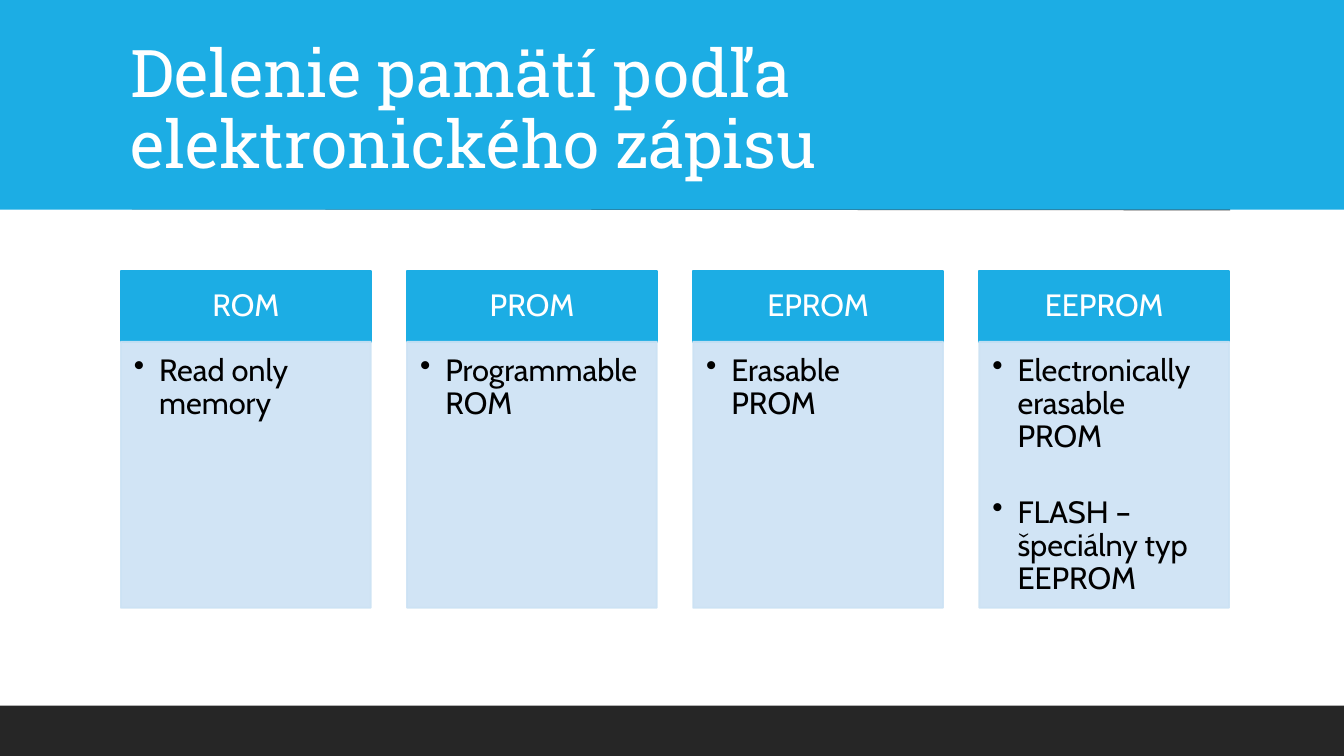
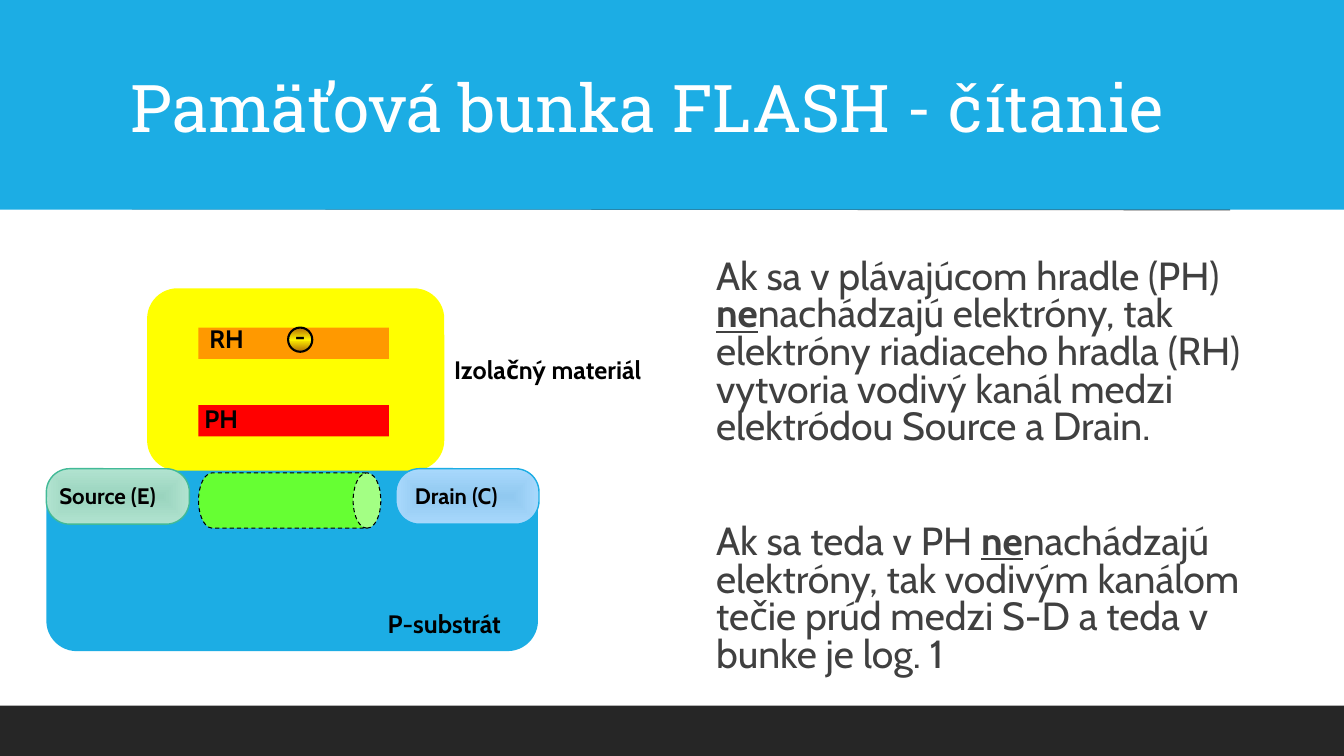
from lxml.etree import SubElement
from pptx import Presentation
from pptx.dml.color import RGBColor
from pptx.enum.dml import MSO_LINE
from pptx.enum.shapes import MSO_CONNECTOR, MSO_SHAPE as Geo
from pptx.enum.text import MSO_ANCHOR as Anchor, PP_ALIGN as Align
from pptx.oxml.ns import qn
from pptx.util import Inches, Pt

BLUE = RGBColor(0x1C, 0xAD, 0xE4)
PALE_BLUE = RGBColor(0xCC, 0xE2, 0xF4)
CHARCOAL = RGBColor(0x26, 0x26, 0x26)
GREY = RGBColor(0x40, 0x40, 0x40)
WHITE = RGBColor(0xFF, 0xFF, 0xFF)
BLACK = RGBColor(0x00, 0x00, 0x00)
YELLOW = RGBColor(0xFF, 0xFF, 0x00)
RED = RGBColor(0xFF, 0x00, 0x00)
ORANGE = RGBColor(0xFF, 0x99, 0x00)
LIME = RGBColor(0x66, 0xFF, 0x33)
GREEN = RGBColor(0x42, 0xBA, 0x97)
GREEN_TINTS = [RGBColor(0x9A, 0xD4, 0xBE), RGBColor(0xB1, 0xE3, 0xD0)]
BLUE_TINTS = [RGBColor(0x91, 0xC9, 0xF0), RGBColor(0xA8, 0xD8, 0xFC)]
BRONZE = RGBColor(0xB2, 0x6B, 0x02)
GOLD = RGBColor(0xFF, 0xF2, 0x00)

TITLE_FONT, BODY_FONT = "Roboto Slab", "Cabin"
WIDTH, HEIGHT = 13.34, 7.5

MEMORY_TITLE = "Delenie pamätí podľa elektronického zápisu"
MEMORY_TYPES = [
    ("ROM", ["Read only memory"]),
    ("PROM", ["Programmable ROM"]),
    ("EPROM", ["Erasable PROM"]),
    ("EEPROM", ["Electronically erasable PROM", "FLASH – špeciálny typ EEPROM"]),
]
CARD_LEFT, CARD_WIDTH, CARD_PITCH = 1.2, 2.48, 2.84
HEAD_TOP, HEAD_HEIGHT, LIST_HEIGHT = 2.69, 0.7, 2.64

READING_TITLE = "Pamäťová bunka FLASH - čítanie"
# Each paragraph: text before, emphasised prefix, text after
READING_TEXT = [
    ("Ak sa v plávajúcom hradle (PH) ", "ne",
     "nachádzajú elektróny, tak elektróny riadiaceho hradla (RH) vytvoria "
     "vodivý kanál medzi elektródou Source a Drain."),
    ("Ak sa teda v PH ", "ne",
     "nachádzajú elektróny, tak vodivým kanálom tečie prúd medzi S-D "
     "a teda v bunke je log. 1"),
]
BLOCKS = [  # substrate, insulation, floating gate, control gate
    (Geo.FLOWCHART_ALTERNATE_PROCESS, (0.46, 4.65, 4.88, 1.81), BLUE),
    (Geo.FLOWCHART_ALTERNATE_PROCESS, (1.46, 2.86, 2.95, 1.81), YELLOW),
    (Geo.RECTANGLE, (1.97, 4.02, 1.89, 0.31), RED),
    (Geo.RECTANGLE, (1.97, 3.25, 1.89, 0.31), ORANGE),
]
ELECTRODES = [(0.46, GREEN_TINTS, GREEN), (3.93, BLUE_TINTS, BLUE)]
LABELS = [
    ("P-substrát", (3.75, 5.99, 1.49, 0.4), 18),
    ("Source (E)", (0.49, 4.73, 1.28, 0.37), 16),
    ("Drain (C)", (4.02, 4.73, 1.16, 0.37), 16),
    ("PH", (1.93, 3.95, 0.55, 0.4), 18),
    ("RH", (1.98, 3.16, 0.55, 0.4), 18),
    ("Izolačný materiál", (4.41, 3.47, 2.37, 0.4), 18),
]


def write(shape, paragraphs, size, color, font=BODY_FONT, bold=False,
          align=Align.LEFT, anchor=Anchor.TOP, insets=(0.1, 0.05, 0.1, 0.05),
          wrap=True, spacing=1.0, gap=0, bullets=False):
    """Fill a shape; a paragraph is a string or a tuple whose odd runs are emphasised."""
    frame = shape.text_frame
    frame.word_wrap, frame.vertical_anchor = wrap, anchor
    (frame.margin_left, frame.margin_top,
     frame.margin_right, frame.margin_bottom) = map(Inches, insets)
    for number, content in enumerate(paragraphs):
        paragraph = frame.add_paragraph() if number else frame.paragraphs[0]
        paragraph.alignment, paragraph.line_spacing = align, spacing
        paragraph.space_before = Pt(gap if number else 0)
        if bullets:
            properties = paragraph._p.get_or_add_pPr()
            properties.set("marL", str(Inches(0.25)))
            properties.set("indent", str(Inches(-0.25)))
            SubElement(properties, qn("a:buChar"), char="•")
        runs = (content,) if isinstance(content, str) else content
        for position, text in enumerate(runs):
            run = paragraph.add_run()
            run.text = text
            run.font.name, run.font.size = font, Pt(size)
            run.font.color.rgb = color
            emphasised = position % 2 == 1
            run.font.bold = bold or emphasised
            run.font.underline = emphasised


def add_text(slide, box, paragraphs, **style):
    write(slide.shapes.add_textbox(*map(Inches, box)), paragraphs, **style)


def add_block(slide, geometry, box, fill=None, line=None, line_width=1.0):
    block = slide.shapes.add_shape(geometry, *map(Inches, box))
    block.shadow.inherit = False
    if fill is not None:
        block.fill.solid()
        block.fill.fore_color.rgb = fill
    if line is None:
        block.line.fill.background()
    else:
        block.line.color.rgb = line
        block.line.width = Pt(line_width)
    return block


def set_gradient(block, colors, rectangular=False):
    """Spread the colours evenly, top to bottom or outwards from the centre."""
    block.fill.gradient()
    gradient = block._element.spPr.find(qn("a:gradFill"))
    for child in list(gradient):
        gradient.remove(child)
    stops = SubElement(gradient, qn("a:gsLst"))
    for number, color in enumerate(colors):
        position = 100000 * number // (len(colors) - 1)
        stop = SubElement(stops, qn("a:gs"), pos=str(position))
        SubElement(stop, qn("a:srgbClr"), val=str(color))
    if rectangular:
        shade = SubElement(gradient, qn("a:path"), {"path": "rect"})
        SubElement(shade, qn("a:fillToRect"), l="50000", t="50000", r="50000", b="50000")
    else:
        SubElement(gradient, qn("a:lin"), ang="5400000", scaled="0")


def set_opacity(block, percent):
    for color in block._element.spPr.iter(qn("a:srgbClr")):
        SubElement(color, qn("a:alpha"), val=str(percent * 1000))


def add_titled_slide(deck, title):
    slide = deck.slides.add_slide(deck.slide_layouts[6])
    rule = slide.shapes.add_connector(
        MSO_CONNECTOR.STRAIGHT, *map(Inches, (1.31, 2.07, 12.21, 2.08)))
    rule.line.color.rgb, rule.line.width = GREY, Pt(1)
    SubElement(rule._element.spPr, qn("a:effectLst"))
    add_block(slide, Geo.RECTANGLE, (0, 0, WIDTH, 2.08), BLUE)
    add_block(slide, Geo.RECTANGLE, (0, 7, WIDTH, 0.5), CHARCOAL)
    add_text(slide, (1.2, 0.31, 11, 1.59), [title], size=47, color=WHITE,
             font=TITLE_FONT, anchor=Anchor.MIDDLE, spacing=0.9)
    return slide


def build_memory_types(deck):
    slide = add_titled_slide(deck, MEMORY_TITLE)
    for column, (name, descriptions) in enumerate(MEMORY_TYPES):
        left = CARD_LEFT + column * CARD_PITCH
        head = add_block(slide, Geo.RECTANGLE, (left, HEAD_TOP, CARD_WIDTH, HEAD_HEIGHT),
                         BLUE, BLUE, 1.25)
        write(head, [name], size=22, color=WHITE, align=Align.CENTER,
              anchor=Anchor.MIDDLE, insets=(0.17, 0.1, 0.17, 0.1), spacing=0.9)
        body = add_block(slide, Geo.RECTANGLE,
                         (left, HEAD_TOP + HEAD_HEIGHT, CARD_WIDTH, LIST_HEIGHT),
                         PALE_BLUE, PALE_BLUE, 1.25)
        set_opacity(body, 90)
        write(body, descriptions, size=22, color=BLACK, spacing=0.9, gap=30,
              insets=(0.13, 0.13, 0.17, 0.19), bullets=True)


def build_flash_reading(deck):
    slide = add_titled_slide(deck, READING_TITLE)
    for geometry, box, fill in BLOCKS:
        add_block(slide, geometry, box, fill)
    for left, tints, outline in ELECTRODES:
        electrode = add_block(slide, Geo.ROUNDED_RECTANGLE, (left, 4.65, 1.42, 0.55),
                              line=outline)
        electrode.adjustments[0] = 0.42
        set_gradient(electrode, tints, rectangular=True)
    for label, box, size in LABELS:
        add_text(slide, box, [label], size=size, color=BLACK, bold=True, wrap=False)

    electron = add_block(slide, Geo.OVAL, (2.86, 3.25, 0.24, 0.24), line=BLACK, line_width=1.5)
    set_gradient(electron, [BRONZE, GOLD, BRONZE])
    write(electron, ["-"], size=18, color=BLACK, bold=True, align=Align.CENTER,
          anchor=Anchor.MIDDLE, insets=(0, 0, 0, 0.08), wrap=False)

    channel = add_block(slide, Geo.CAN, (2.6, 4.06, 0.55, 1.81), LIME, BLACK, 0.75)
    channel.adjustments[0] = 0.5
    channel.rotation = 90
    channel.line.dash_style = MSO_LINE.DASH

    add_text(slide, (7.01, 2.53, 5.86, 4.29), READING_TEXT, size=28, color=GREY,
             insets=(0.1, 0.05, 0, 0.05), spacing=0.8, gap=55)


def main():
    deck = Presentation()
    deck.slide_width, deck.slide_height = Inches(WIDTH), Inches(HEIGHT)
    build_memory_types(deck)
    build_flash_reading(deck)
    deck.save("out.pptx")


if __name__ == "__main__":
    main()
